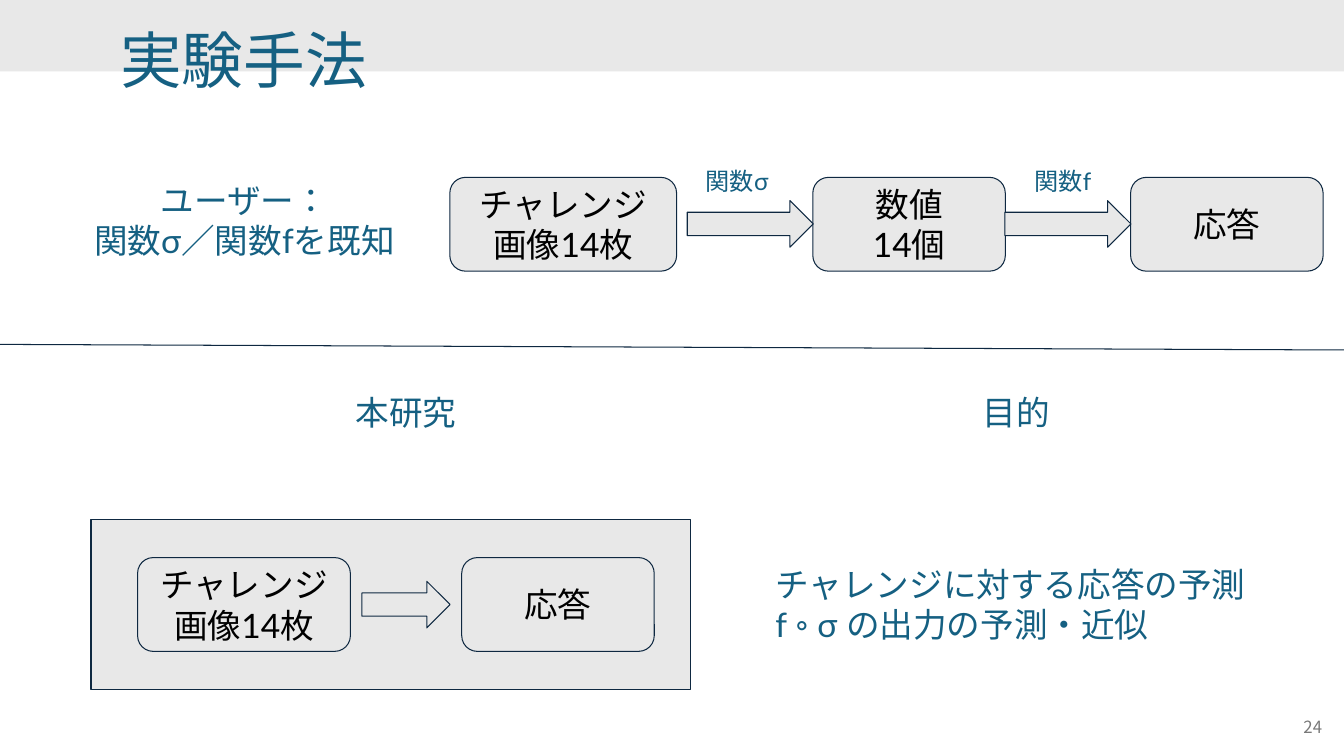
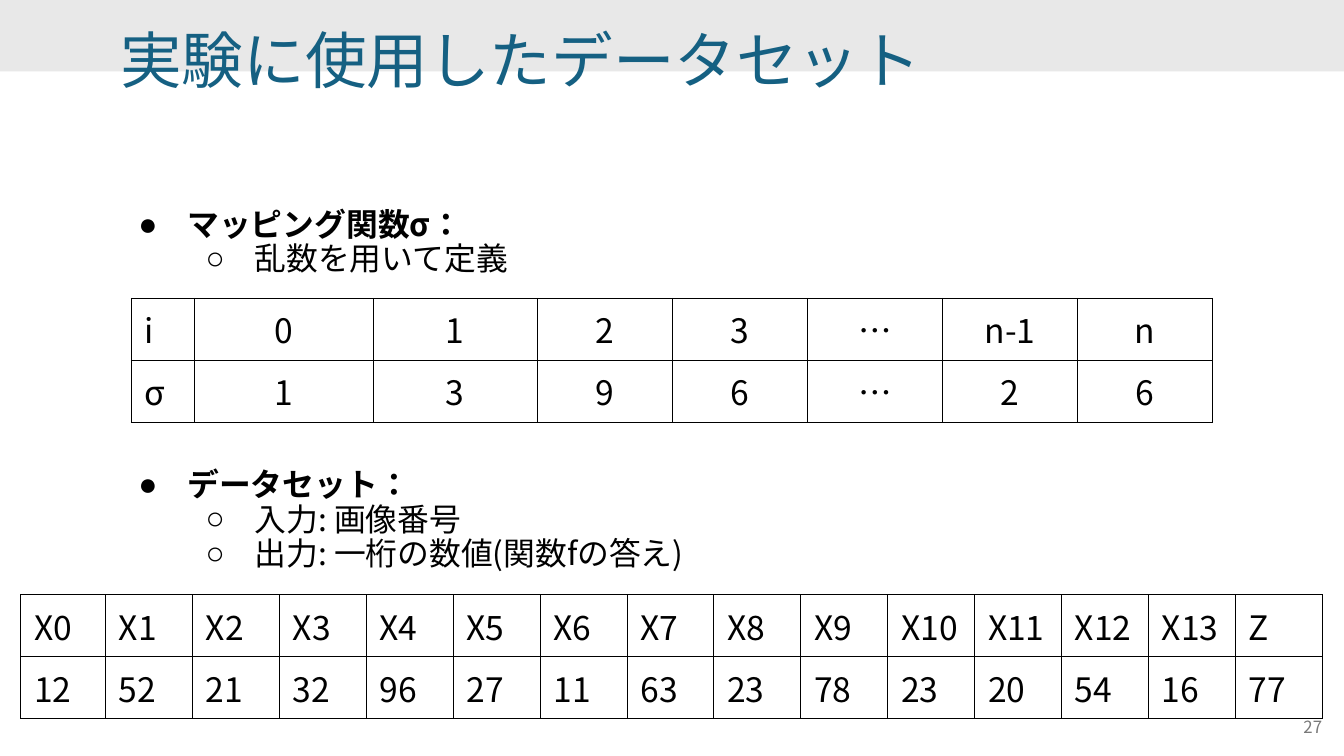
"""Build two slides on the experiment: its method and its data set."""
from lxml import etree
from pptx import Presentation
from pptx.dml.color import RGBColor
from pptx.enum.lang import MSO_LANGUAGE_ID
from pptx.enum.shapes import MSO_CONNECTOR, MSO_SHAPE
from pptx.enum.text import MSO_ANCHOR, MSO_AUTO_SIZE, PP_ALIGN
from pptx.oxml.ns import qn
from pptx.util import Pt

TEAL = RGBColor(0x15, 0x60, 0x82)
NAVY = RGBColor(0x0E, 0x28, 0x41)
PALE = RGBColor(0xE8, 0xE8, 0xE8)
GREY = RGBColor(0x79, 0x79, 0x79)
BLACK = RGBColor(0, 0, 0)
LATO = "Lato"
NOTO = "Noto Sans CJK JP"
JAPANESE = MSO_LANGUAGE_ID.JAPANESE
LEFT, CENTER, RIGHT = PP_ALIGN.LEFT, PP_ALIGN.CENTER, PP_ALIGN.RIGHT
TOP, MIDDLE = MSO_ANCHOR.TOP, MSO_ANCHOR.MIDDLE
RECT, ROUNDED, ARROW = MSO_SHAPE.RECTANGLE, MSO_SHAPE.ROUNDED_RECTANGLE, MSO_SHAPE.RIGHT_ARROW
STRAIGHT = MSO_CONNECTOR.STRAIGHT
NO_AUTOFIT = MSO_AUTO_SIZE.NONE
INSET = Pt(9.6)
ROW_HEIGHT = 44.3


def write(frame, lines, size=24, color=TEAL, align=LEFT, font=LATO):
    """Fill a text frame with one paragraph per line."""
    for number, line in enumerate(lines):
        paragraph = frame.paragraphs[0] if number == 0 else frame.add_paragraph()
        paragraph.alignment = align
        run = paragraph.add_run()
        run.text = line
        run.font.size = Pt(size)
        run.font.language_id = JAPANESE
        run.font.color.rgb = color
        run.font.name = font
        etree.SubElement(run._r.get_or_add_rPr(), qn("a:ea"), typeface=font)


def add_box(slide, preset, left, top, width, height, anchor=TOP):
    """Add a pale outlined shape, or a plain text box when there is no preset."""
    place = Pt(left), Pt(top), Pt(width), Pt(height)
    if preset is None:
        box = slide.shapes.add_textbox(*place)
    else:
        box = slide.shapes.add_shape(preset, *place)
        box.shadow.inherit = False
        box.fill.solid()
        box.fill.fore_color.rgb = PALE
        box.line.color.rgb = NAVY
        box.line.width = Pt(0.75)
    frame = box.text_frame
    frame.word_wrap = True
    frame.vertical_anchor = anchor
    frame.margin_left = frame.margin_right = frame.margin_top = frame.margin_bottom = INSET
    return box


prs = Presentation()
prs.slide_width, prs.slide_height = Pt(960), Pt(540)
method = prs.slides.add_slide(prs.slide_layouts[5])
dataset = prs.slides.add_slide(prs.slide_layouts[1])

band = add_box(method, RECT, 0, 0, 960, 51)
band.line.fill.background()
prs.slide_master.shapes.element.insert(2, band.element)

for slide, heading, page in (
    (method, "実験手法", "24"),
    (dataset, "実験に使用したデータセット", "27"),
):
    title = slide.shapes.title
    title.left, title.top, title.width, title.height = Pt(76.3), Pt(5.8), Pt(619), Pt(72.7)
    frame = title.text_frame
    frame.auto_size = NO_AUTOFIT
    frame.vertical_anchor = TOP
    frame.margin_left = frame.margin_right = frame.margin_top = frame.margin_bottom = INSET
    write(frame, [heading], 44)
    number = add_box(slide, None, 896.4, 499, 57.6, 41, MIDDLE)
    write(number.text_frame, [page], 12, GREY, RIGHT, NOTO)

divider = method.shapes.add_connector(STRAIGHT, Pt(0), Pt(246), Pt(960), Pt(250))
divider.line.color.rgb = NAVY
divider.line.width = Pt(0.75)
etree.SubElement(divider._element.spPr, qn("a:effectLst"))

add_box(method, RECT, 65, 371, 428.4, 121.5)

CHALLENGE = ["チャレンジ", "画像14枚"]
for left, top, width, lines in (
    (321.3, 126.7, 162, CHALLENGE),
    (580.6, 126.7, 137.5, ["数値", "14個"]),
    (807.6, 126.7, 137.5, ["応答"]),
    (98.3, 398.3, 152, CHALLENGE),
    (329.8, 398.3, 137.5, ["応答"]),
):
    step = add_box(method, ROUNDED, left, top, width, 67, MIDDLE)
    write(step.text_frame, lines, color=BLACK, align=CENTER)

for left, top, width in ((490.9, 143.3, 90), (717.8, 143.3, 90), (258.5, 415.2, 63)):
    add_box(method, ARROW, left, top, width, 33.3)

for left, top, width, height, lines, size, align in (
    (48.2, 118.8, 252.7, 77.8, ["ユーザー：", "関数σ／関数fを既知"], 24, CENTER),
    (494.6, 109.4, 81.4, 40.3, ["関数σ"], 17.3, LEFT),
    (729.4, 109.4, 81.4, 40.3, ["関数f"], 17.3, LEFT),
    (231, 270, 118, 48.2, ["本研究"], 24, CENTER),
    (683.3, 270, 85, 48.2, ["目的"], 24, CENTER),
    (544.3, 393.1, 364.3, 77.8, ["チャレンジに対する応答の予測", "f ◦ σ の出力の予測・近似"], 24, LEFT),
):
    label = add_box(method, None, left, top, width, height)
    write(label.text_frame, lines, size, align=align)

outline = dataset.placeholders[1]
outline.left, outline.top, outline.width, outline.height = Pt(76.3), Pt(139.7), Pt(807), Pt(400)
frame = outline.text_frame
frame.auto_size = NO_AUTOFIT
frame.margin_left = frame.margin_right = frame.margin_top = frame.margin_bottom = INSET
items = (
    ("マッピング関数σ：", 0, 0),
    ("乱数を用いて定義", 1, 0),
    ("データセット：", 0, 137),
    ("入力: 画像番号", 1, 0),
    ("出力: 一桁の数値(関数fの答え)", 1, 0),
)
write(frame, [text for text, level, gap in items], 22.7, BLACK, LEFT, NOTO)
for paragraph, (text, level, gap) in zip(frame.paragraphs, items):
    paragraph.level = level
    paragraph.line_spacing = 0.9
    paragraph.space_before = Pt(gap)
    paragraph.runs[0].font.bold = level == 0
    properties = paragraph._p.get_or_add_pPr()
    properties.set("marL", str(Pt(48 * (level + 1))))
    properties.set("indent", str(Pt(-35)))
    etree.SubElement(properties, qn("a:buChar"), char="●○"[level])

mapping = (["i", "0", "1", "2", "3", "…", "n-1", "n"],
           ["σ", "1", "3", "9", "6", "…", "2", "6"])
samples = ([f"X{i}" for i in range(14)] + ["Z"],
           "12 52 21 32 96 27 11 63 23 78 23 20 54 16 77".split())
for rows, left, top, widths, anchor, align in (
    (mapping, 93.7, 213, [45, 128, 117] + [96.5] * 5, MIDDLE, CENTER),
    (samples, 14.9, 424.8, [60.5] + [62.1] * 14, TOP, LEFT),
):
    table = dataset.shapes.add_table(
        len(rows), len(widths), Pt(left), Pt(top),
        Pt(sum(widths)), Pt(ROW_HEIGHT * len(rows))).table
    table.first_row = table.horz_banding = False
    for column, width in zip(table.columns, widths):
        column.width = Pt(width)
    for r, values in enumerate(rows):
        for c, value in enumerate(values):
            cell = table.cell(r, c)
            cell.margin_left = cell.margin_right = INSET
            cell.margin_top = cell.margin_bottom = Pt(4.8)
            cell.vertical_anchor = anchor
            borders = cell._tc.get_or_add_tcPr()
            for side in ("a:lnL", "a:lnR", "a:lnT", "a:lnB"):
                border = etree.SubElement(borders, qn(side), w=str(Pt(0.75)))
                fill = etree.SubElement(border, qn("a:solidFill"))
                etree.SubElement(fill, qn("a:srgbClr"), val=str(BLACK))
            cell.fill.background()
            write(cell.text_frame, [value], 24, BLACK, align if c else LEFT, NOTO)

prs.save("out.pptx")
